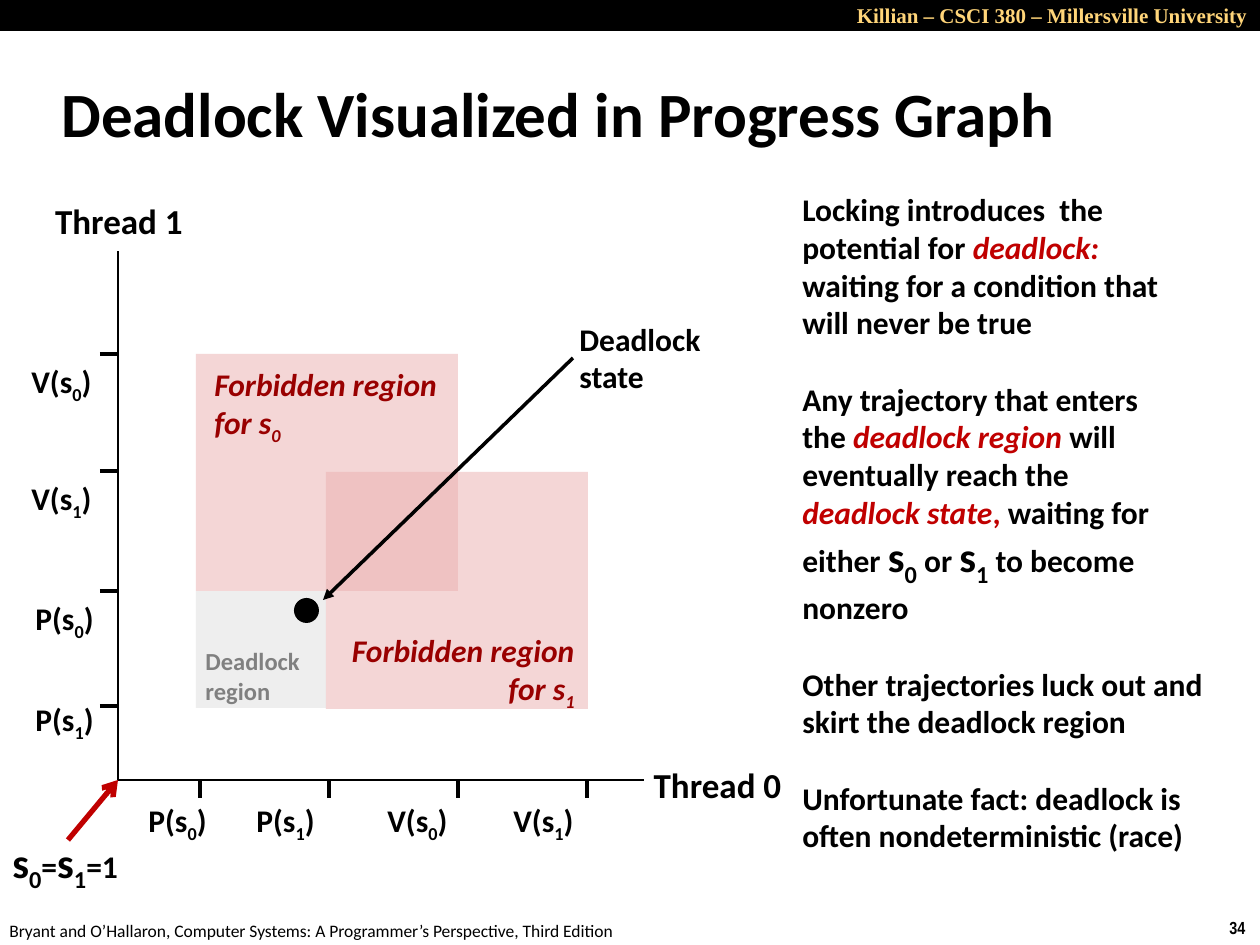
from pptx import Presentation
from pptx.dml.color import RGBColor
from pptx.enum.shapes import MSO_CONNECTOR as Connector, MSO_SHAPE as Shape
from pptx.enum.text import MSO_ANCHOR as Anchor, MSO_AUTO_SIZE as AutoSize, PP_ALIGN as Align
from pptx.oxml.ns import qn
from pptx.util import Emu, Pt
from lxml.etree import SubElement

SCALE = 914400 / 126
BLACK, RED, DARK_RED, PINK = "000000", "C00000", "990000", "EBAFAF"


def px(value):
    return Emu(round(value * SCALE))


def color(value):
    return RGBColor.from_string(value)


presentation = Presentation()
presentation.slide_width, presentation.slide_height = px(1260), px(945)
slide = presentation.slides.add_slide(presentation.slide_layouts[6])

# Shared run styles
EMPHASIS = {"color": RED, "italic": True}
BIG = {"size": 24}
SUB = {"sub": True}
BIG_SUB = {"size": 24, "sub": True}


def semaphore(prefix, index, suffix=""):
    return [(f"{prefix}s", {}), (index, SUB), (suffix, {})]


# Filled areas: kind, box, colour, opacity in percent
filled_areas = [
    (Shape.RECTANGLE, (0, 0, 1260, 31), BLACK, 100),
    (Shape.RECTANGLE, (196, 591, 130, 117), "CCCCCC", 32),
    (Shape.RECTANGLE, (196, 354, 262, 237), PINK, 50),
    (Shape.RECTANGLE, (326, 472, 262, 237), PINK, 50),
    (Shape.OVAL, (294, 598, 25, 25), BLACK, 100),
]
for kind, box, fill, opacity in filled_areas:
    shape = slide.shapes.add_shape(kind, *map(px, box))
    shape.shadow.inherit = False
    shape.line.fill.background()
    shape.fill.solid()
    shape.fill.fore_color.rgb = color(fill)
    if opacity < 100:
        fill_color = shape.fill._xPr.find(qn("a:solidFill"))[0]
        SubElement(fill_color, qn("a:alpha"), val=str(opacity * 1000))

# Axes, ticks and arrows: ends, colour, width, arrowhead
lines = [
    ((118, 780, 644, 780), BLACK, 1, None),
    ((118, 780, 118, 251), BLACK, 1, None),
    ((573, 358, 323, 600), BLACK, 2, "triangle"),
    ((68, 840, 118, 780), RED, 3, "arrow"),
]
lines += [((100, y, 117, y), BLACK, 2, None) for y in (354, 471, 591, 706)]
lines += [((x, 780, x, 798), BLACK, 2, None) for x in (200, 329, 458, 587)]
for ends, stroke, width, head in lines:
    connector = slide.shapes.add_connector(Connector.STRAIGHT, *map(px, ends))
    connector.line.color.rgb = color(stroke)
    connector.line.width = Pt(width)
    if head:
        SubElement(connector.line._get_or_add_ln(), qn("a:tailEnd"), type=head)
    SubElement(connector._element.spPr, qn("a:effectLst"))

# Texts: box, paragraphs of (text, style) runs, format values
flush = {"margin_top": 0, "margin_bottom": 0}
middle = {"vertical_anchor": Anchor.MIDDLE}
wrapped = {"word_wrap": True, "auto_size": AutoSize.NONE}
texts = [
    ((1217, 911, 43, 34), [[("34", {})]], {"size": 10, "font": "Arial Narrow"}, {}),
    ((-3, 914, 640, 34),
     [[("Bryant and O’Hallaron, Computer Systems: A Programmer’s Perspective, Third Edition", {})]],
     {"size": 10, "bold": False}, {}),
    ((567, -4, 693, 38), [[("Killian – CSCI 380 – Millersville University", {})]],
     {"size": 12, "font": "Times New Roman", "color": "FFD579", "align": Align.RIGHT}, wrapped),
    ((49, 60, 1046, 105), [[("Deadlock Visualized in Progress Graph", {})]],
     {"size": 36}, {**wrapped, **middle}),
    ((640, 757, 155, 55), [[("Thread 0", {})]], {"size": 20, "align": Align.CENTER}, middle),
    ((42, 193, 154, 55), [[("Thread 1", {})]], {"size": 20, "align": Align.CENTER}, middle),
    ((202, 359, 260, 89), [[("Forbidden region", {})], semaphore("for ", "0")],
     {"color": DARK_RED, "italic": True}, {}),
    ((329, 625, 258, 89), [[("Forbidden region", {})], semaphore("for ", "1")],
     {"color": DARK_RED, "italic": True, "align": Align.RIGHT}, {}),
    ((567, 319, 147, 77), [[("Deadlock", {})], [("state", {})]], {}, {**flush, **middle}),
    ((193, 646, 121, 59), [[("Deadlock", {})], [("region", {})]],
     {"size": 14, "color": "808080"}, {**flush, **middle}),
    ((0, 840, 136, 50),
     [[("s", BIG), ("0", BIG_SUB), ("=", {}), ("s", BIG), ("1", BIG_SUB), ("=1", {})]],
     {}, {**flush, **middle}),
]

# Operation labels along both axes
operations = [("P", "0", 136, 798), ("P", "1", 244, 798), ("V", "0", 375, 798), ("V", "1", 501, 798),
              ("V", "0", 19, 359), ("V", "1", 19, 476), ("P", "0", 23, 596), ("P", "1", 23, 697)]
for operation, index, left, top in operations:
    texts.append(((left, top, 86, 50), [semaphore(f"{operation}(", index, ")")], {}, middle))

# Explanation: each block is set apart by one line of space
explanation = [
    [[("Locking introduces  the", {})],
     [("potential for ", {}), ("deadlock:", EMPHASIS)],
     [("waiting for a condition that will never be true", {})]],
    [[("Any trajectory that enters", {})],
     [("the ", {}), ("deadlock region ", EMPHASIS), ("will", {})],
     [("eventually reach the", {})],
     [("deadlock state", EMPHASIS), (", ", {"color": RED}), ("waiting for either ", {}),
      ("s", BIG), ("0", BIG_SUB), (" or ", {}), ("s", BIG), ("1", BIG_SUB),
      (" to become nonzero", {})]],
    [[("Other trajectories luck out and skirt the deadlock region", {})]],
    [[("Unfortunate fact: deadlock is often nondeterministic (race)", {})]],
]
block_starts = [block[0] for block in explanation[1:]]
texts.append(((790, 190, 428, 662), sum(explanation, []), {}, {**wrapped, **flush}))

for box, paragraphs, text_format, frame_format in texts:
    frame = slide.shapes.add_textbox(*map(px, box)).text_frame
    frame_values = {"word_wrap": False, "auto_size": AutoSize.SHAPE_TO_FIT_TEXT, **frame_format}
    for name, value in frame_values.items():
        setattr(frame, name, value)
    for number, runs in enumerate(paragraphs):
        paragraph = frame.add_paragraph() if number else frame.paragraphs[0]
        paragraph.alignment = text_format.get("align", Align.LEFT)
        if runs in block_starts:
            paragraph.space_before = Pt(22)
        for text, run_format in runs:
            if not text:
                continue
            style = {"size": 18, "bold": True, "italic": False, "font": "Calibri",
                     "color": BLACK, **text_format, **run_format}
            run = paragraph.add_run()
            run.text = text
            font_values = {"name": style["font"], "size": Pt(style["size"]),
                           "bold": style["bold"], "italic": style["italic"]}
            for name, value in font_values.items():
                setattr(run.font, name, value)
            run.font.color.rgb = color(style["color"])
            if style.get("sub"):
                run.font._element.set("baseline", "-25000")

presentation.save("out.pptx")
